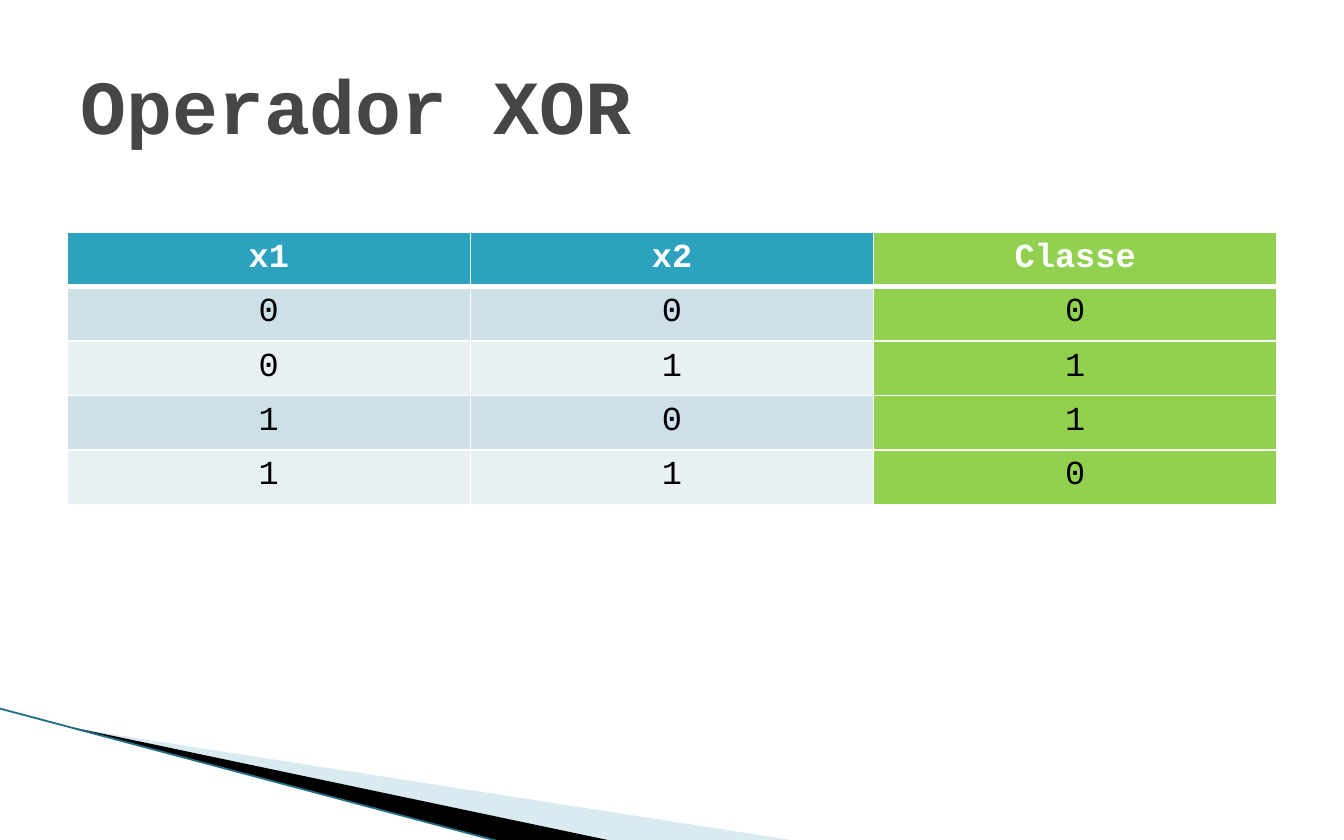
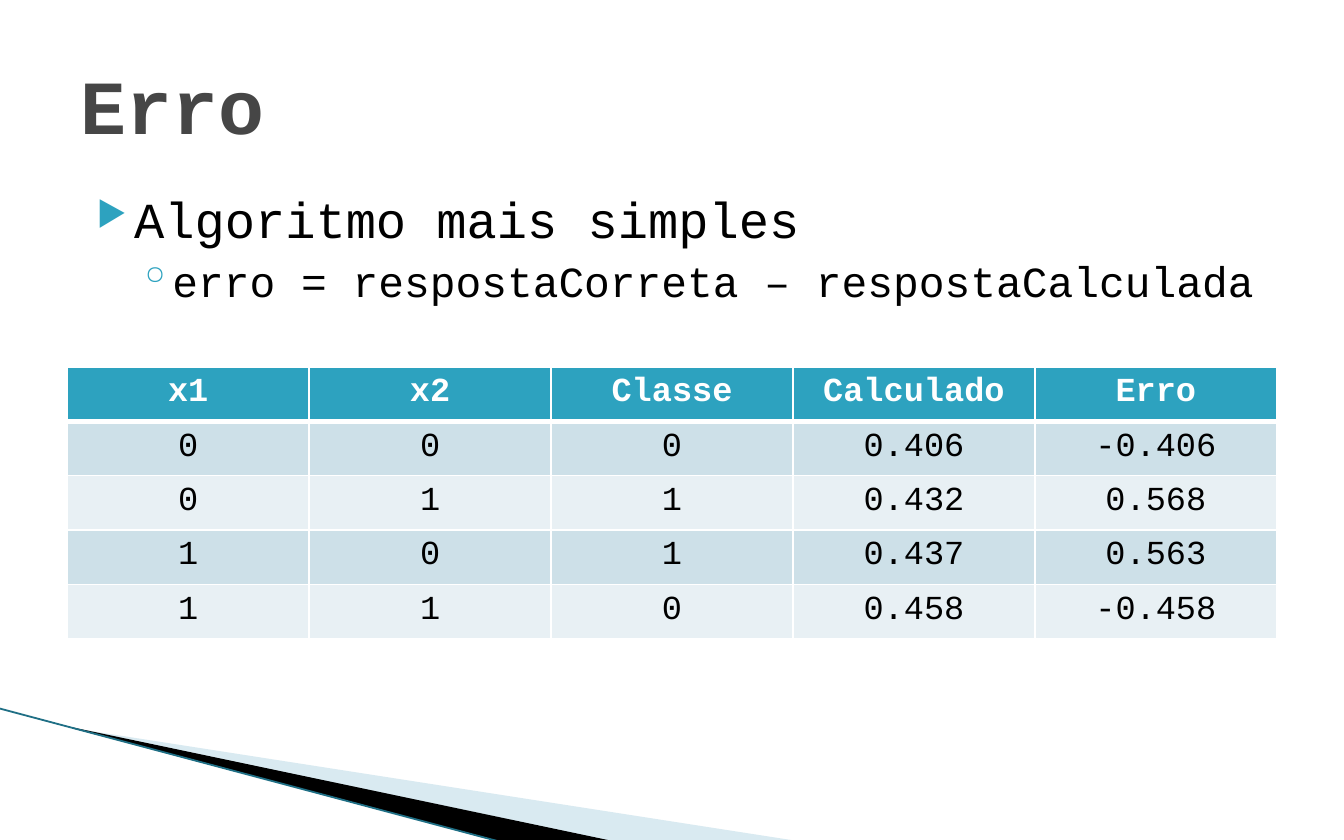
from dataclasses import dataclass
from typing import Optional

from lxml.etree import SubElement
from pptx import Presentation
from pptx.dml.color import RGBColor as Rgb
from pptx.enum.shapes import MSO_CONNECTOR as Connector
from pptx.enum.text import MSO_ANCHOR as Anchor, PP_ALIGN as Align
from pptx.oxml.ns import qn
from pptx.util import Inches, Pt


@dataclass(frozen=True)
class Theme:
    font: str = "Courier New"
    title: str = "464646"
    text: str = "000000"
    white: str = "FFFFFF"
    accent: str = "2DA2BF"
    highlight: str = "92D050"
    bands: tuple = ("CDE0E8", "E8F0F4")
    pale_wedge: str = "A0CBDC"
    dark_wedge: str = "000000"
    edge: str = "1F6F85"
    title_size: float = 41
    table_size: float = 18
    edge_width: float = 0.95
    thin_border: float = 1
    thick_border: float = 3


THEME = Theme()
MARGIN = 0.5
CONTENT_WIDTH = 9
ROW_HEIGHT = 0.405


@dataclass(frozen=True)
class Wedge:
    points: tuple
    color: str
    opacity: int = 100


@dataclass(frozen=True)
class Bullet:
    text: str
    size: float
    symbol: str
    indent: float
    hanging: float
    space_before: float
    level: int = 0
    symbol_percent: int = 100


@dataclass(frozen=True)
class Grid:
    top: float
    rows: tuple
    highlighted_column: Optional[int] = None


WEDGES = (
    Wedge(((0.55, 5.42), (5.95, 6.26), (4.56, 6.26)), THEME.pale_wedge, 40),
    Wedge(((0.53, 5.41), (4.57, 6.26), (3.72, 6.26), (0.54, 5.42)), THEME.dark_wedge),
)


def color(value: str) -> Rgb:
    return Rgb.from_string(value)


def style_font(font, size: float, value: str, bold: bool = False) -> None:
    font.name, font.size, font.bold = THEME.font, Pt(size), bold
    font.color.rgb = color(value)


# Shared corner decoration
def draw_wedge(page, wedge: Wedge) -> None:
    start, *others = [(Inches(x), Inches(y)) for x, y in wedge.points]
    builder = page.shapes.build_freeform(*start)
    builder.add_line_segments(others, close=True)
    shape = builder.convert_to_shape()
    shape.shadow.inherit = False
    shape.line.fill.background()
    shape.fill.solid()
    shape.fill.fore_color.rgb = color(wedge.color)
    if wedge.opacity < 100:
        tint = shape._element.spPr.find(qn("a:solidFill"))[0]
        SubElement(tint, qn("a:alpha")).set("val", str(wedge.opacity * 1000))


def draw_corner(page) -> None:
    for wedge in WEDGES:
        draw_wedge(page, wedge)
    edge = page.shapes.add_connector(
        Connector.STRAIGHT, Inches(-0.01), Inches(5.27), Inches(3.71), Inches(6.26))
    edge.line.color.rgb = color(THEME.edge)
    edge.line.width = Pt(THEME.edge_width)
    SubElement(edge._element.spPr, qn("a:effectLst"))


# Text
def add_frame(page, top: float, height: float):
    box = page.shapes.add_textbox(
        Inches(MARGIN), Inches(top), Inches(CONTENT_WIDTH), Inches(height))
    box.text_frame.word_wrap = True
    return box.text_frame


def draw_title(page, text: str) -> None:
    frame = add_frame(page, 0.25, 1.04)
    frame.vertical_anchor = Anchor.MIDDLE
    para = frame.paragraphs[0]
    para.text = text
    style_font(para.font, THEME.title_size, THEME.title, bold=True)


def set_symbol(para, bullet: Bullet) -> None:
    props = para._p.get_or_add_pPr()
    props.set("marL", str(Inches(bullet.indent)))
    props.set("indent", str(-Inches(bullet.hanging)))
    parts = (
        ("a:buSzPct", "val", str(bullet.symbol_percent * 1000)),
        ("a:buChar", "char", bullet.symbol),
    )
    tint = props.makeelement(qn("a:buClr"))
    SubElement(tint, qn("a:srgbClr")).set("val", THEME.accent)
    items = [tint]
    for tag, name, value in parts:
        items.append(props.makeelement(qn(tag), {name: value}))
    # Bullet settings stand between the spacing and the font defaults
    defaults = props.find(qn("a:defRPr"))
    for item in items:
        defaults.addprevious(item)


def draw_bullets(page, bullets: tuple) -> None:
    frame = add_frame(page, 1.35, 4.12)
    for index, bullet in enumerate(bullets):
        para = frame.add_paragraph() if index else frame.paragraphs[0]
        para.text = bullet.text
        para.level = bullet.level
        para.space_before = Pt(bullet.space_before)
        style_font(para.font, bullet.size, THEME.text)
        set_symbol(para, bullet)


# Tables
def set_borders(cell, row: int) -> None:
    thick_side = {0: "B", 1: "T"}.get(row)
    props = cell._tc.get_or_add_tcPr()
    for side in "LRTB":
        width = THEME.thick_border if side == thick_side else THEME.thin_border
        line = SubElement(props, qn(f"a:ln{side}"))
        line.set("w", str(Pt(width)))
        fill = SubElement(line, qn("a:solidFill"))
        SubElement(fill, qn("a:srgbClr")).set("val", THEME.white)


def cell_fill(grid: Grid, row: int, column: int) -> str:
    if column == grid.highlighted_column:
        return THEME.highlight
    return THEME.bands[(row - 1) % 2] if row else THEME.accent


def draw_grid(page, grid: Grid) -> None:
    row_count, column_count = len(grid.rows), len(grid.rows[0])
    table = page.shapes.add_table(
        row_count, column_count, Inches(MARGIN), Inches(grid.top),
        Inches(CONTENT_WIDTH), Inches(ROW_HEIGHT * row_count)).table
    for row, values in enumerate(grid.rows):
        for column, value in enumerate(values):
            cell = table.cell(row, column)
            set_borders(cell, row)
            cell.fill.solid()
            cell.fill.fore_color.rgb = color(cell_fill(grid, row, column))
            para = cell.text_frame.paragraphs[0]
            para.text = value
            para.alignment = Align.CENTER
            header = row == 0
            style_font(para.font, THEME.table_size,
                       THEME.white if header else THEME.text, bold=header)


def add_page(deck, title: str, grid: Grid, bullets: tuple = ()) -> None:
    page = deck.slides.add_slide(deck.slide_layouts[6])
    draw_corner(page)
    if bullets:
        draw_bullets(page, bullets)
    draw_title(page, title)
    draw_grid(page, grid)


# Content
XOR_ROWS = (
    ("x1", "x2", "Classe"),
    ("0", "0", "0"),
    ("0", "1", "1"),
    ("1", "0", "1"),
    ("1", "1", "0"),
)
RESULTS = (
    ("Calculado", "Erro"),
    ("0.406", "-0.406"),
    ("0.432", "0.568"),
    ("0.437", "0.563"),
    ("0.458", "-0.458"),
)
ERROR_ROWS = tuple(inputs + result for inputs, result in zip(XOR_ROWS, RESULTS))
ERROR_BULLETS = (
    Bullet("Algoritmo mais simples", 27, "▶", 0.4, 0.28, 4, symbol_percent=68),
    Bullet("erro = respostaCorreta – respostaCalculada", 23, "◦", 0.68, 0.25, 3.2, level=1),
)


def main() -> None:
    deck = Presentation()
    deck.slide_width, deck.slide_height = Inches(10), Inches(6.25)
    add_page(deck, "Operador XOR", Grid(1.73, XOR_ROWS, highlighted_column=2))
    add_page(deck, "Erro", Grid(2.73, ERROR_ROWS), ERROR_BULLETS)
    deck.save("out.pptx")


if __name__ == "__main__":
    main()
